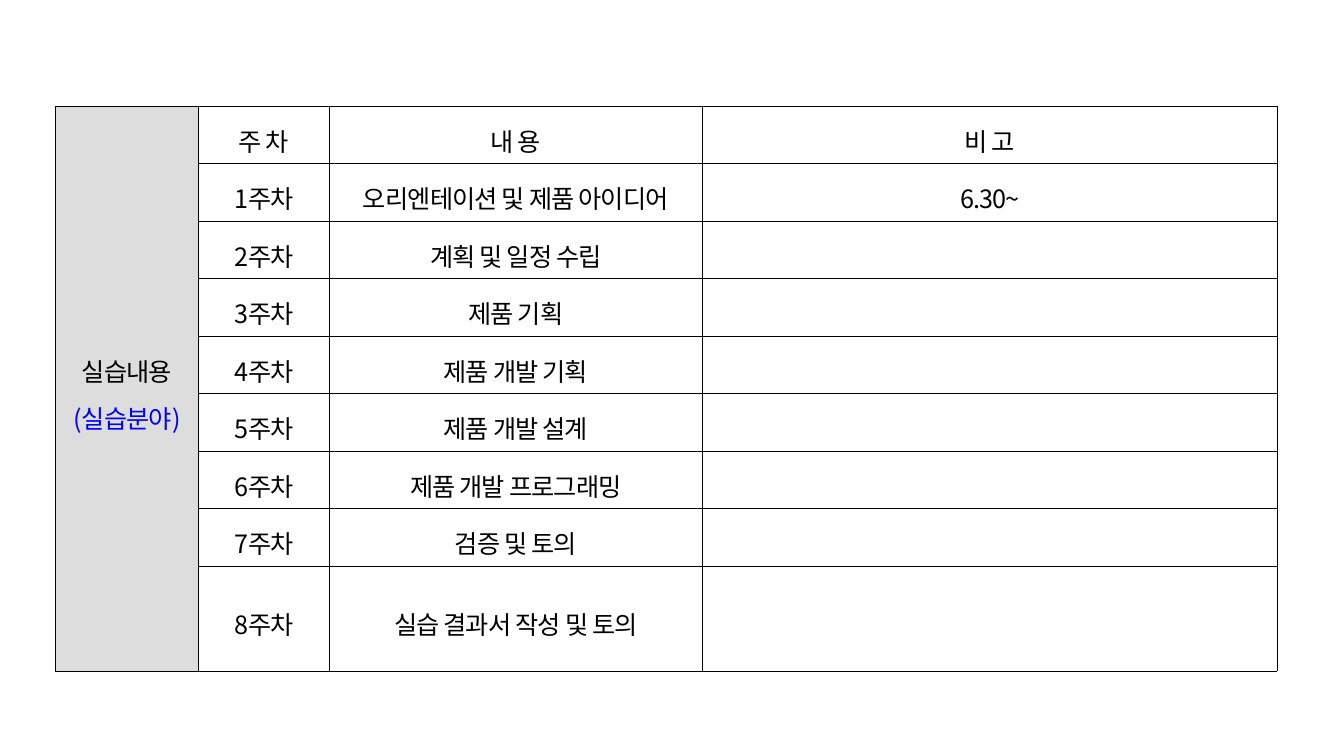
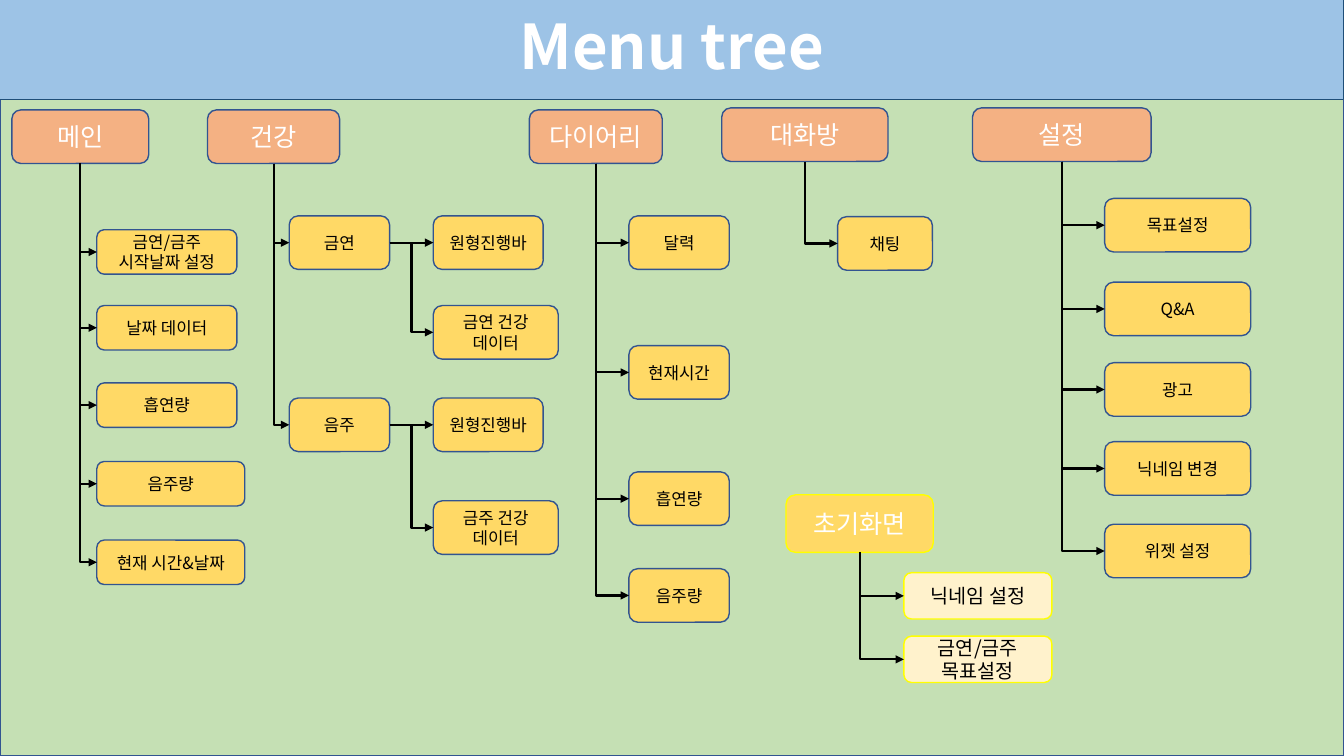
from dataclasses import dataclass

import lxml.etree
import pptx
import pptx.dml.color
import pptx.enum.shapes
import pptx.enum.text
import pptx.oxml.ns
import pptx.util

Cm = pptx.util.Cm
Pt = pptx.util.Pt
RGBColor = pptx.dml.color.RGBColor
MSO_SHAPE = pptx.enum.shapes.MSO_SHAPE
qn = pptx.oxml.ns.qn

FONT = "Noto Sans CJK KR"
BLACK = RGBColor(0x00, 0x00, 0x00)
WHITE = RGBColor(0xFF, 0xFF, 0xFF)
BLUE = RGBColor(0x00, 0x00, 0xFF)
GRAY = RGBColor(0xDD, 0xDD, 0xDD)
NAVY = RGBColor(0x32, 0x54, 0x91)
DARK_BLUE = RGBColor(0x1F, 0x4E, 0x79)
SKY = RGBColor(0x9D, 0xC3, 0xE6)
GREEN = RGBColor(0xC5, 0xE0, 0xB4)
ORANGE = RGBColor(0xF4, 0xB1, 0x83)
GOLD = RGBColor(0xFF, 0xD9, 0x66)
CREAM = RGBColor(0xFF, 0xF2, 0xCC)
YELLOW = RGBColor(0xFF, 0xFF, 0x00)

SLIDE_W, SLIDE_H = 33.87, 19.05
BAND_H = 2.51
COLUMN_WIDTHS = (3.6, 3.3, 9.4, 14.49)
ROW_H = 1.42
SCHEDULE = (
    ("주 차", "내 용", "비 고"),
    ("1주차", "오리엔테이션 및 제품 아이디어", "6.30~"),
    ("2주차", "계획 및 일정 수립", ""),
    ("3주차", "제품 기획", ""),
    ("4주차", "제품 개발 기획", ""),
    ("5주차", "제품 개발 설계", ""),
    ("6주차", "제품 개발 프로그래밍", ""),
    ("7주차", "검증 및 토의", ""),
    ("8주차", "실습 결과서 작성 및 토의", ""),
)


@dataclass(frozen=True)
class Style:
    fill: RGBColor
    line: RGBColor
    size: float = 12
    color: RGBColor = BLACK
    line_width: float = 1
    bold: bool = False
    spacing: float | None = None
    shape: MSO_SHAPE = MSO_SHAPE.ROUNDED_RECTANGLE


@dataclass(frozen=True)
class Box:
    text: str
    left: float
    top: float
    width: float
    height: float
    style: Style


@dataclass(frozen=True)
class Branch:
    parent: Box
    children: tuple[Box, ...]
    from_side: bool = False


BACKDROP = Style(GREEN, NAVY, shape=MSO_SHAPE.RECTANGLE)
TITLE = Style(SKY, DARK_BLUE, 44, WHITE, 0.75, True, 0.9, MSO_SHAPE.RECTANGLE)
MENU = Style(ORANGE, NAVY, 18, WHITE)
ITEM = Style(GOLD, NAVY)
START = Style(GOLD, YELLOW, 18, WHITE)
START_ITEM = Style(CREAM, YELLOW, 14)


def menu(text: str, left: float, top: float, width: float) -> Box:
    return Box(text, left, top, width, 1.35, MENU)


def column(left: float, height: float, style: Style,
           *rows: tuple[str, float, float]) -> tuple[Box, ...]:
    return tuple(Box(text, left, top, width, height, style) for text, top, width in rows)


HEALTH = column(7.29, 1.35, ITEM, ("금연", 5.44, 2.53), ("음주", 10.03, 2.53))
MENU_TREE = (
    Branch(menu("메인", 0.3, 2.77, 3.45), column(
        2.44, 1.12, ITEM,
        ("금연/금주\n시작날짜 설정", 5.79, 3.53), ("날짜 데이터", 7.7, 3.53),
        ("흡연량", 9.65, 3.53), ("음주량", 11.63, 3.73), ("현재 시간&날짜", 13.61, 3.73))),
    Branch(menu("건강", 5.23, 2.77, 3.33), HEALTH),
    Branch(HEALTH[0], column(
        10.92, 1.35, ITEM,
        ("원형진행바", 5.44, 2.77), ("금연 건강\n데이터", 7.7, 3.15)), True),
    Branch(HEALTH[1], column(
        10.92, 1.35, ITEM,
        ("원형진행바", 10.03, 2.77), ("금주 건강\n데이터", 12.62, 3.15)), True),
    Branch(menu("다이어리", 13.34, 2.77, 3.35), column(
        15.85, 1.35, ITEM,
        ("달력", 5.44, 2.53), ("현재시간", 8.71, 2.53),
        ("흡연량", 11.89, 2.53), ("음주량", 14.33, 2.53))),
    Branch(menu("대화방", 18.19, 2.72, 4.19), column(
        21.11, 1.35, ITEM, ("채팅", 5.46, 2.39))),
    Branch(menu("설정", 24.51, 2.72, 4.5), column(
        27.84, 1.35, ITEM,
        ("목표설정", 5, 3.68), ("Q&A", 7.11, 3.68), ("광고", 9.14, 3.68),
        ("닉네임 변경", 11.13, 3.68), ("위젯 설정", 13.21, 3.68))),
    Branch(Box("초기화면", 19.81, 12.47, 3.71, 1.45, START), column(
        22.78, 1.17, START_ITEM,
        ("닉네임 설정", 14.43, 3.73), ("금연/금주\n목표설정", 16.03, 3.73))),
)


def add_run(p, text: str, size: float, color: RGBColor, bold: bool = False):
    r = p.add_run()
    r.text = text
    r.font.size = Pt(size)
    r.font.bold = bold
    r.font.color.rgb = color
    r.font.name = FONT
    lxml.etree.SubElement(r.font._element, qn("a:ea"), typeface=FONT)
    return r


def add_line(tf, index: int, spacing: float | None):
    p = tf.add_paragraph() if index else tf.paragraphs[0]
    p.alignment = pptx.enum.text.PP_ALIGN.CENTER
    if spacing:
        p.line_spacing = spacing
    return p


def draw_box(s, box: Box) -> None:
    style = box.style
    sp = s.shapes.add_shape(style.shape, Cm(box.left), Cm(box.top),
                            Cm(box.width), Cm(box.height))
    sp.shadow.inherit = False
    sp.fill.solid()
    sp.fill.fore_color.rgb = style.fill
    sp.line.color.rgb = style.line
    sp.line.width = Pt(style.line_width)
    tf = sp.text_frame
    tf.word_wrap = True
    tf.vertical_anchor = pptx.enum.text.MSO_ANCHOR.MIDDLE
    if box.text:
        for i, text in enumerate(box.text.split("\n")):
            p = add_line(tf, i, style.spacing)
            add_run(p, text, style.size, style.color, style.bold)


def draw_arrow(s, parent: Box, child: Box, from_side: bool) -> None:
    elbow = pptx.enum.shapes.MSO_CONNECTOR.ELBOW
    end_x, end_y = child.left, child.top + child.height / 2
    if from_side:
        x, y = parent.left + parent.width, parent.top + parent.height / 2
        c = s.shapes.add_connector(elbow, Cm(x), Cm(y), Cm(end_x), Cm(end_y))
    else:
        x, y = parent.left + parent.width / 2, parent.top + parent.height
        run, drop = end_x - x, end_y - y
        left, top = (x + end_x - drop) / 2, (y + end_y - run) / 2
        c = s.shapes.add_connector(elbow, Cm(left + drop), Cm(top), Cm(left), Cm(top + run))
        sp_pr = c._element.spPr
        sp_pr.find(qn("a:xfrm")).set("rot", "16200000")
        sp_pr.find(qn("a:prstGeom")).set("prst", "bentConnector2")
    c.line.color.rgb = BLACK
    c.line.width = Pt(1.5)
    sp_pr = c._element.spPr
    lxml.etree.SubElement(sp_pr.find(qn("a:ln")), qn("a:tailEnd"), type="triangle")
    lxml.etree.SubElement(sp_pr, qn("a:effectLst"))


def format_cell(cell, fill: RGBColor | None = None) -> None:
    tc_pr = cell._tc.get_or_add_tcPr()
    for side in ("lnL", "lnR", "lnT", "lnB"):
        ln = lxml.etree.SubElement(tc_pr, qn(f"a:{side}"), w=str(int(Pt(0.28))))
        solid = lxml.etree.SubElement(ln, qn("a:solidFill"))
        lxml.etree.SubElement(solid, qn("a:srgbClr"), val=str(BLACK))
    cell.vertical_anchor = pptx.enum.text.MSO_ANCHOR.MIDDLE
    cell.margin_left = cell.margin_right = Cm(0.2)
    if fill is None:
        cell.fill.background()
    else:
        cell.fill.solid()
        cell.fill.fore_color.rgb = fill


def write_cell(cell, *lines: tuple[str, RGBColor]) -> None:
    for i, (text, color) in enumerate(lines):
        p = add_line(cell.text_frame, i, 1.3)
        r = add_run(p, text, 18, color)
        r.font._element.set("spc", "-60")


def build_schedule(s) -> None:
    rows, cols = len(SCHEDULE), len(COLUMN_WIDTHS)
    table = s.shapes.add_table(rows, cols, Cm(1.4), Cm(2.67),
                               Cm(sum(COLUMN_WIDTHS)), Cm(ROW_H * rows)).table
    table.first_row = table.horz_banding = False
    for col, width in zip(table.columns, COLUMN_WIDTHS):
        col.width = Cm(width)
    for i, texts in enumerate(SCHEDULE):
        table.rows[i].height = Cm(ROW_H)
        format_cell(table.cell(i, 0), GRAY)
        for j, text in enumerate(texts, 1):
            cell = table.cell(i, j)
            format_cell(cell)
            if text:
                write_cell(cell, (text, BLACK))
    heading = table.cell(0, 0)
    heading.merge(table.cell(rows - 1, 0))
    write_cell(heading, ("실습내용", BLACK), ("(실습분야)", BLUE))


def build_menu_tree(s) -> None:
    draw_box(s, Box("", 0, BAND_H, SLIDE_W, SLIDE_H - BAND_H, BACKDROP))
    for branch in MENU_TREE:
        if not branch.from_side:
            draw_box(s, branch.parent)
        for child in branch.children:
            draw_box(s, child)
            draw_arrow(s, branch.parent, child, branch.from_side)
    draw_box(s, Box("Menu tree", 0, 0, SLIDE_W, BAND_H, TITLE))


def main() -> None:
    prs = pptx.Presentation()
    prs.slide_width, prs.slide_height = Cm(SLIDE_W), Cm(SLIDE_H)
    for build in (build_schedule, build_menu_tree):
        build(prs.slides.add_slide(prs.slide_layouts[6]))
    prs.save("out.pptx")


if __name__ == "__main__":
    main()
